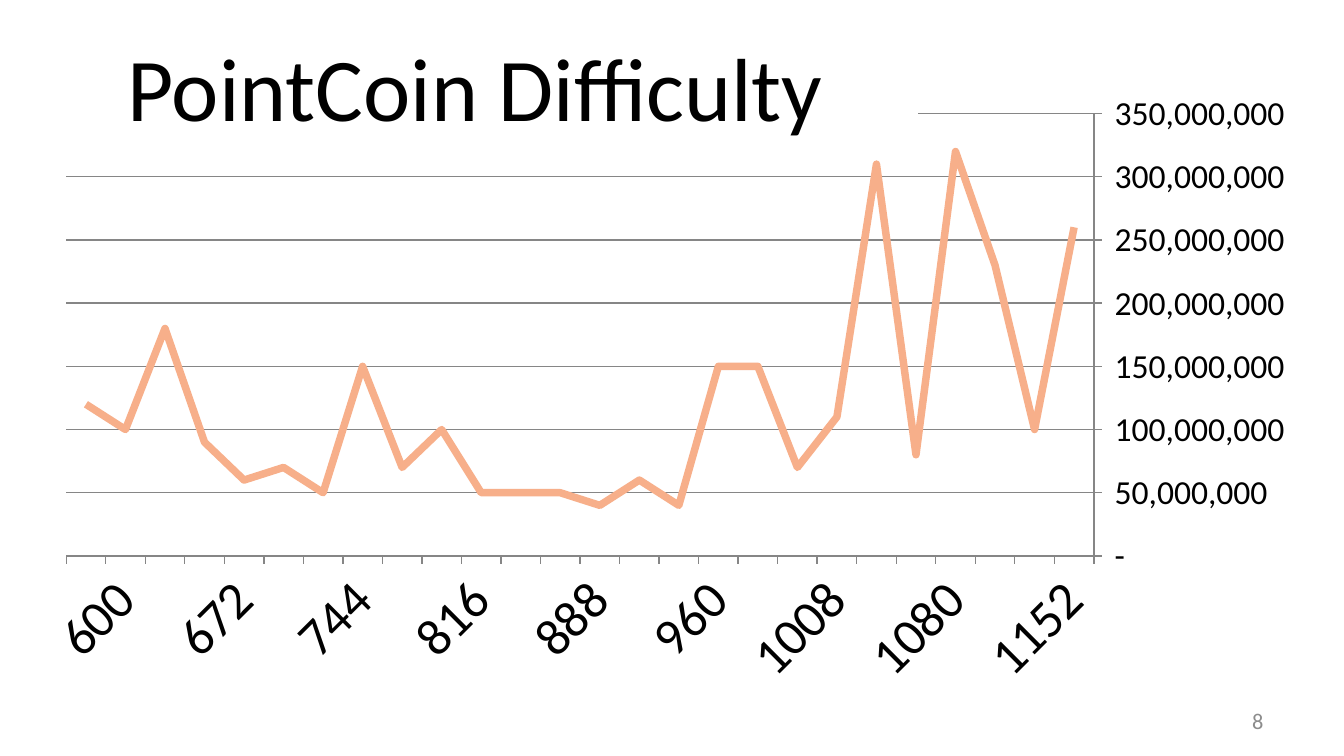
from dataclasses import dataclass

from pptx import Presentation
from pptx.chart.data import CategoryChartData as Data
from pptx.dml.color import RGBColor as Color
from pptx.enum.chart import XL_CHART_TYPE as Kind, XL_MARKER_STYLE as Mark, XL_TICK_MARK as Tick
from pptx.enum.text import MSO_ANCHOR as Anchor, PP_ALIGN as Align
from pptx.oxml import parse_xml
from pptx.oxml.ns import nsdecls
from pptx.util import Inches, Pt


@dataclass(frozen=True)
class Theme:
    """Colours, font and type sizes of the slide."""
    font: str = "Calibri"
    ink: Color = Color(0, 0, 0)
    paper: Color = Color(255, 255, 255)
    mute: Color = Color(0x8C, 0x8C, 0x8C)
    rule: Color = Color(0x86, 0x86, 0x86)
    curve: Color = Color(0xF7, 0xAF, 0x8A)
    title: int = 48
    block: int = 28
    value: int = 18
    page: int = 12


THEME = Theme()
WIDE = Inches(10)
HIGH = WIDE * 9 // 16
MILLION = 1_000_000
FORMAT = '_-* #,##0_-;\\-* #,##0_-;_-* "-"??_-;_-@_'
BLOCKS = [*range(1152, 983, -24), 971, *range(960, 575, -24)]
LEVELS = [260, 100, 230, 320, 80, 310, 110, 70, 150, 150, 40, 60, 40,
          50, 50, 50, 100, 70, 150, 50, 70, 60, 90, 180, 100, 120]


def share(x, y, w, h):
    """Turn percentages of the slide into a box."""
    return tuple(round(part * side / 100) for part, side in zip((x, y, w, h), (WIDE, HIGH) * 2))


def style(font, size, color):
    """Set the face, size and colour of a font."""
    font.name, font.size, font.color.rgb = THEME.font, Pt(size), color


def label(slide, box, text, size, color, align, fill=None):
    """Place one line of text in the box."""
    shape = slide.shapes.add_textbox(*box)
    if fill is not None:
        shape.fill.solid()
        shape.fill.fore_color.rgb = fill
    frame = shape.text_frame
    frame.word_wrap = True
    frame.vertical_anchor = Anchor.MIDDLE
    line = frame.paragraphs[0]
    line.alignment = align
    run = line.add_run()
    run.text = text
    style(run.font, size, color)


def axis_style(axis, size):
    """Give an axis its ticks, line and labels."""
    axis.major_tick_mark, axis.minor_tick_mark = Tick.OUTSIDE, Tick.NONE
    axis.format.line.color.rgb = THEME.rule
    style(axis.tick_labels.font, size, THEME.ink)


def slant(chart):
    """Slant every third block label."""
    axis = chart.element.xpath(".//c:catAx")[0]
    axis.xpath("c:txPr/a:bodyPr")[0].set("rot", "-2700000")
    skip = parse_xml(f'<c:tickLblSkip {nsdecls("c")} val="3"/>')
    axis.xpath("c:noMultiLvlLbl")[0].addprevious(skip)


def graph(slide, box):
    """Draw difficulty by block, newest block at the right."""
    data = Data(number_format="General")
    data.categories = BLOCKS
    data.add_series("Series 1", [level * MILLION for level in LEVELS])
    chart = slide.shapes.add_chart(Kind.LINE, *box, data).chart
    chart.has_legend = chart.has_title = False
    style(chart.font, THEME.value, THEME.ink)
    blocks, values = chart.category_axis, chart.value_axis
    axis_style(blocks, THEME.block)
    axis_style(values, THEME.value)
    blocks.reverse_order = True
    values.minimum_scale, values.maximum_scale = 0, 350 * MILLION
    values.major_unit = 50 * MILLION
    values.tick_labels.number_format = FORMAT
    values.tick_labels.number_format_is_linked = False
    values.has_major_gridlines = True
    values.major_gridlines.format.line.color.rgb = THEME.rule
    plot = chart.plots[0]
    plot.vary_by_categories = False
    curve = plot.series[0]
    curve.smooth = False
    curve.marker.style = Mark.NONE
    curve.format.line.color.rgb = THEME.curve
    curve.format.line.width = Pt(4)
    slant(chart)


def main():
    """Build and save the slide."""
    deck = Presentation()
    deck.slide_width, deck.slide_height = WIDE, HIGH
    slide = deck.slides.add_slide(deck.slide_layouts[6])
    graph(slide, share(1.6, 10.7, 96.5, 81.96))
    label(slide, share(2.4, 4.62, 65.9, 13.33), "PointCoin Difficulty",
          THEME.title, THEME.ink, Align.CENTER, THEME.paper)
    label(slide, share(71.7, 92.62, 23.3, 5.33), "8",
          THEME.page, THEME.mute, Align.RIGHT)
    deck.save("out.pptx")


if __name__ == "__main__":
    main()
